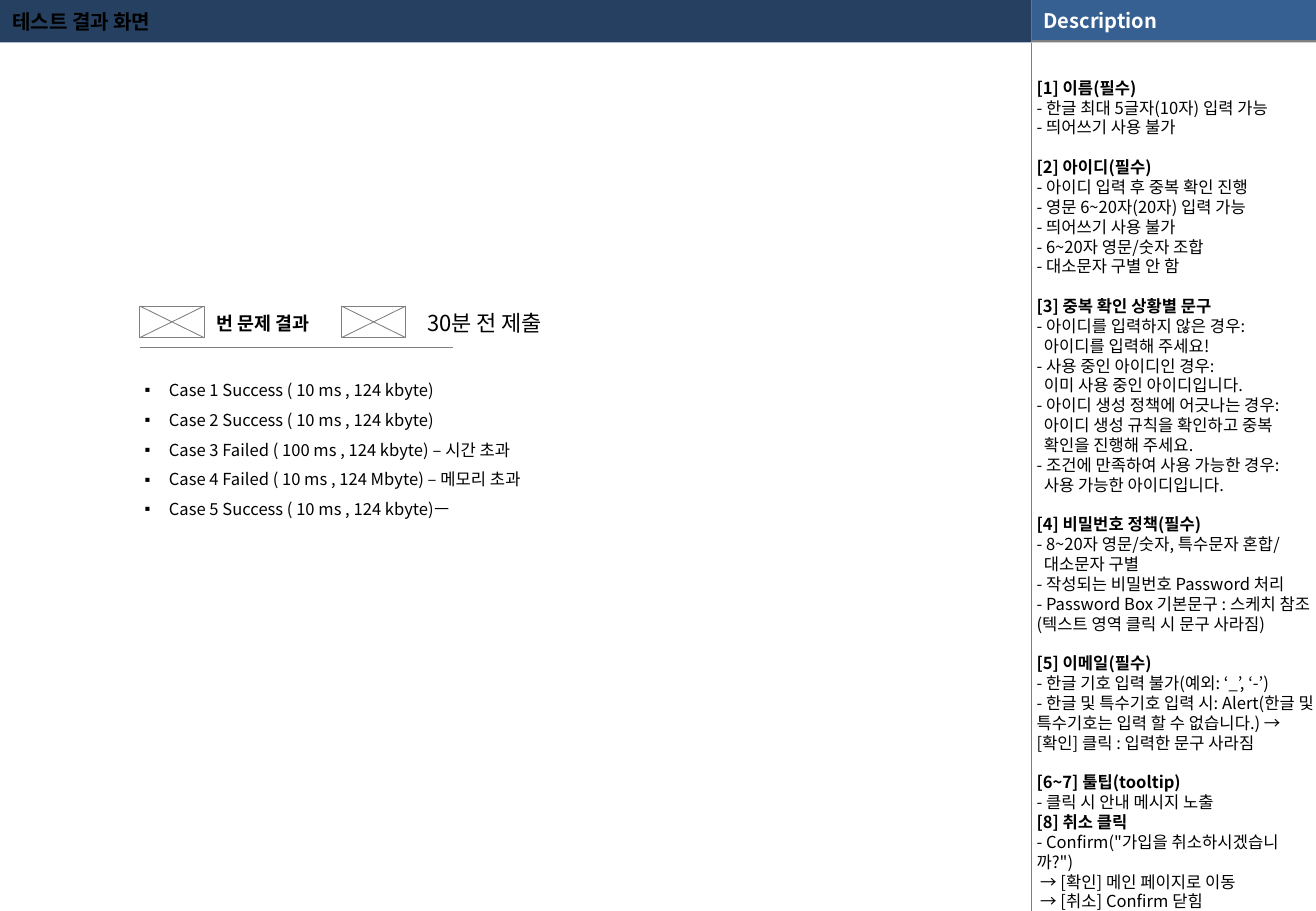
from lxml.etree import SubElement as Sub
from pptx import Presentation
from pptx.dml.color import RGBColor as RGB
from pptx.enum.shapes import MSO_CONNECTOR as Conn, MSO_SHAPE as Kind
from pptx.enum.text import MSO_ANCHOR as Anchor, MSO_AUTO_SIZE as Fit, PP_ALIGN as Align
from pptx.oxml.ns import qn
from pptx.util import Inches, Pt

W, H = 10.83, 7.5
SIDE = 8.49           # left edge of the description column
BAR = 0.35            # height of the header
LEFT, ROW = 1.15, 2.52
BOX_W, BOX_H = 0.53, 0.26
FACE = "Noto Sans CJK KR"
INK = {"navy": "254061", "blue": "376092", "gray": "808080", "rule": "7F7F7F",
       "white": "FFFFFF", "black": "000000"}

NOTES = [
    ("[1] 이름(필수)", ["- 한글 최대 5글자(10자) 입력 가능", "- 띄어쓰기 사용 불가"]),
    ("[2] 아이디(필수)", [
        "- 아이디 입력 후 중복 확인 진행", "- 영문 6~20자(20자) 입력 가능",
        "- 띄어쓰기 사용 불가", "- 6~20자 영문/숫자 조합", "- 대소문자 구별 안 함"]),
    ("[3] 중복 확인 상황별 문구", [
        "- 아이디를 입력하지 않은 경우:", "아이디를 입력해 주세요!",
        "- 사용 중인 아이디인 경우:", "이미 사용 중인 아이디입니다.",
        "- 아이디 생성 정책에 어긋나는 경우:", "아이디 생성 규칙을 확인하고 중복",
        "확인을 진행해 주세요.", "- 조건에 만족하여 사용 가능한 경우:",
        "사용 가능한 아이디입니다."]),
    ("[4] 비밀번호 정책(필수)", [
        "- 8~20자 영문/숫자, 특수문자 혼합/", "대소문자 구별",
        "- 작성되는 비밀번호 Password 처리",
        "- Password Box 기본문구 : 스케치 참조 (텍스트 영역 클릭 시 문구 사라짐)"]),
    ("[5] 이메일(필수)", [
        "- 한글 기호 입력 불가(예외: ‘_’, ‘-’)",
        "- 한글 및 특수기호 입력 시: Alert(한글 및 특수기호는 입력 할 수 없습니다.) "
        "→ [확인] 클릭 : 입력한 문구 사라짐"]),
    ("[6~7] 툴팁(tooltip)", ["- 클릭 시 안내 메시지 노출"]),
    ("[8] 취소 클릭", [
        "- Confirm(\"가입을 취소하시겠습니까?\")",
        "→ [확인] 메인 페이지로 이동", "→ [취소] Confirm 닫힘"]),
]
CASES = [
    "Case 1 Success ( 10 ms , 124 kbyte)",
    "Case 2 Success ( 10 ms , 124 kbyte)",
    "Case 3 Failed ( 100 ms , 124 kbyte) – 시간 초과",
    "Case 4 Failed ( 10 ms , 124 Mbyte) – 메모리 초과",
    "Case 5 Success ( 10 ms , 124 kbyte)ㅡ",
]

deck = Presentation()
deck.slide_width, deck.slide_height = Inches(W), Inches(H)
slide = deck.slides.add_slide(deck.slide_layouts[3])
shapes = slide.shapes
title, notes, cases = slide.placeholders


def write(para, text, size, bold=False, color="black"):
    para.text = text
    para.alignment = Align.LEFT
    font = para.font
    font.name, font.size, font.bold = FACE, Pt(size), bold
    font.color.rgb = RGB.from_string(INK[color])
    east = Sub(para._p.pPr.find(qn("a:defRPr")), qn("a:ea"))
    east.set("typeface", FACE)


def rule(x1, y1, x2, y2, color, width):
    line = shapes.add_connector(Conn.STRAIGHT, *map(Inches, (x1, y1, x2, y2)))
    line.line.color.rgb = RGB.from_string(INK[color])
    line.line.width = Pt(width)
    Sub(line._element.spPr, qn("a:effectLst"))


# Header bars and image boxes
blocks = [
    (0, 0, SIDE, BAR, "navy", None),
    (SIDE, 0, W - SIDE, BAR, "gray", None),
    (SIDE, 0, W - SIDE, 0.33, "blue", None),
    (LEFT, ROW, BOX_W, BOX_H, "white", "gray"),
    (2.81, ROW, BOX_W, BOX_H, "white", "gray"),
]
for x, y, w, h, fill, edge in blocks:
    block = shapes.add_shape(Kind.RECTANGLE, *map(Inches, (x, y, w, h)))
    block.shadow.inherit = False
    block.fill.solid()
    block.fill.fore_color.rgb = RGB.from_string(INK[fill])
    if edge:
        block.line.color.rgb = RGB.from_string(INK[edge])
        block.line.width = Pt(0.5)
        rule(x, y + h, x + w, y, edge, 0.5)
        rule(x, y, x + w, y + h, edge, 0.5)
    else:
        block.line.fill.background()

# Column edge and heading underline
rule(SIDE, BAR, SIDE, H, "rule", 0.25)
rule(LEFT, 2.86, 3.73, 2.86, "gray", 0.75)

# Labels
labels = [
    ("Description", SIDE, 0, W - SIDE, 0.33, 11.9, True, "white"),
    ("번 문제 결과", 1.68, ROW, 1.33, 0.28, 10.9, True, "black"),
    ("30분 전 제출", 3.42, 2.5, 2.76, 0.32, 13, False, "black"),
]
for text, x, y, w, h, size, bold, color in labels:
    frame = shapes.add_textbox(*map(Inches, (x, y, w, h))).text_frame
    frame.word_wrap = True
    frame.vertical_anchor = Anchor.MIDDLE
    write(frame.paragraphs[0], text, size, bold, color)

# Placeholders, brought in front of the bars
spots = [
    (title, 0, 0, 8.25, BAR),
    (notes, SIDE, 0.64, W - SIDE, H - 0.64),
    (cases, 1.09, 3, 4.65, 1.23),
]
for holder, x, y, w, h in spots:
    holder.left, holder.top, holder.width, holder.height = map(Inches, (x, y, w, h))
    holder.text_frame.auto_size = Fit.NONE
    holder.text_frame.word_wrap = True
    shapes._spTree.append(holder._element)

title.text_frame.vertical_anchor = Anchor.MIDDLE
write(title.text_frame.paragraphs[0], "테스트 결과 화면", 11.9, True)

# Description list
frame = notes.text_frame
frame.margin_left, frame.margin_right = Inches(0.04), Inches(0.01)
frame.margin_top = frame.margin_bottom = 0
for n, (head, lines) in enumerate(NOTES):
    for k, text in enumerate([head, *lines]):
        para = frame.add_paragraph() if n or k else frame.paragraphs[0]
        inset = 0 if k == 0 or text[0] == "-" else 0.03 if text[0] == "→" else 0.06
        props = para._p.get_or_add_pPr()
        props.set("marL", str(Inches(inset)))
        props.set("indent", "0")
        Sub(props, qn("a:buNone"))
        para.line_spacing = Pt(11.75)
        para.space_before = Pt(11.75 if k == 0 and 0 < n < 6 else 0)
        write(para, text, 9.8, k == 0)

# Case list
frame = cases.text_frame
for n, text in enumerate(CASES):
    para = frame.add_paragraph() if n else frame.paragraphs[0]
    props = para._p.get_or_add_pPr()
    props.set("marL", str(Inches(0.2)))
    props.set("indent", str(-Inches(0.2)))
    Sub(Sub(props, qn("a:buClr")), qn("a:srgbClr")).set("val", INK["black"])
    Sub(props, qn("a:buChar")).set("char", "▪")
    para.line_spacing = Pt(17.6)
    para.space_before = Pt(0)
    write(para, text, 9.8)

deck.save("out.pptx")
